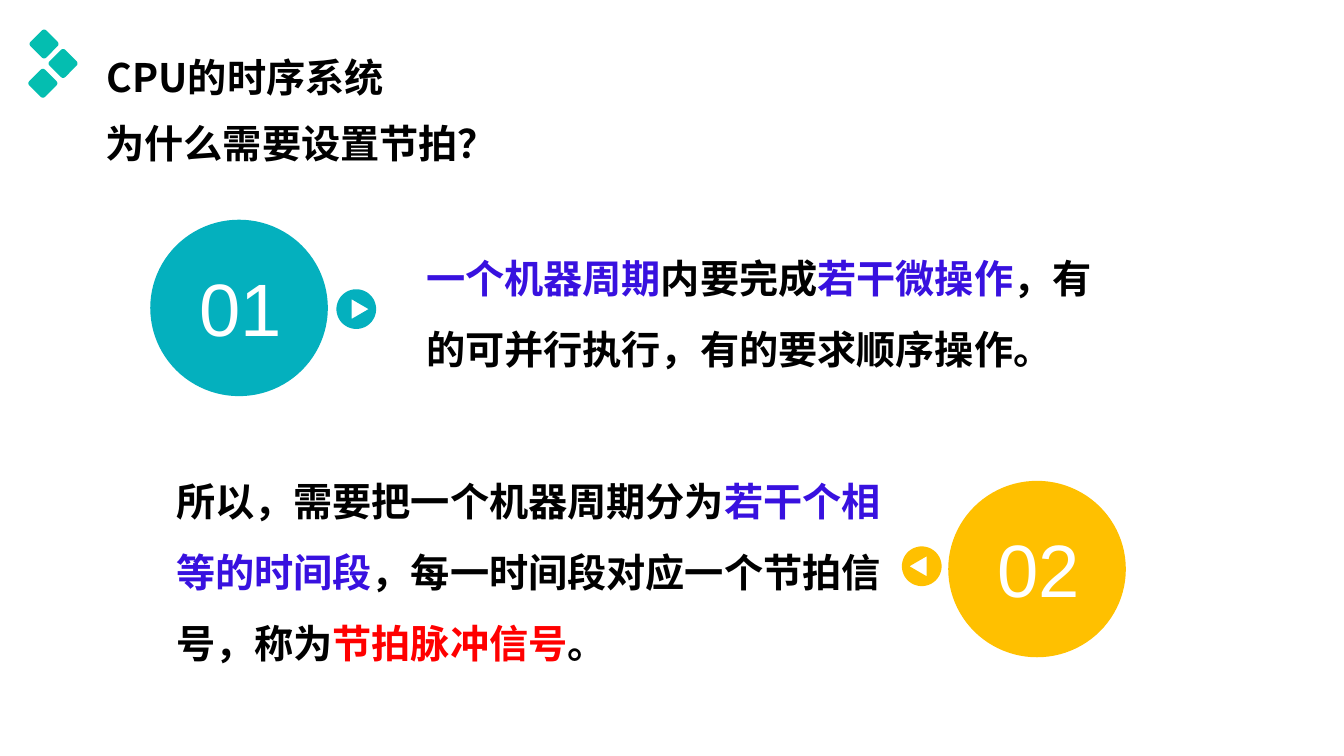
"""Build a slide on why a CPU machine cycle is divided into beats."""
from math import cos, pi, sin

from lxml.etree import SubElement
from pptx import Presentation
from pptx.dml.color import RGBColor
from pptx.enum.shapes import MSO_SHAPE
from pptx.enum.text import MSO_ANCHOR, PP_ALIGN
from pptx.oxml.ns import qn
from pptx.util import Cm, Pt

HAN, LATIN = "Noto Sans CJK SC", "Arial"
BLACK, WHITE, BLUE, RED = "000000", "FFFFFF", "3811DF", "FF0000"
TEAL, GOLD, MINT = "04B0BE", "FFC000", "04BEB0"

TITLE = [("CPU的时序系统", BLACK)]
ASK = [("为什么需要设置节拍？", BLACK)]
WHY = [("一个机器周期", BLUE), ("内要完成", BLACK), ("若干微操作", BLUE),
       ("，有的可并行执行，有的要求顺序操作。", BLACK)]
SO = [("所以，需要把一个机器周期分为", BLACK), ("若干个相等的时间段", BLUE),
      ("，每一时间段对应一个节拍信号，称为", BLACK),
      ("节拍脉冲信号", RED), ("。", BLACK)]

NOTES = [
    (ASK, (2.41, 2.29, 10.49, 2.06), 0, False),
    (WHY, (9.22, 5.69, 19.46, 3.84), 1.27, True),
    (SO, (2.92, 11.3, 20.42, 5.9), 1.27, True),
]
STEPS = [
    ("01", TEAL, (3.84, 5.59), (8.98, 7.79), 1),
    ("02", GOLD, (23.95, 12.17), (23.23, 14.27), -1),
]
GEMS = [(1.11, 1.11), (1.59, 1.6), (1.08, 2.1)]
GEM, DISC, DOT = 0.56, (4.37, 4.34), 0.5


def tint(code):
    return RGBColor.from_string(code)


def paint(shape, code, width=0):
    shape.shadow.inherit = False
    shape.fill.solid()
    shape.fill.fore_color.rgb = tint(code)
    if width:
        shape.line.color.rgb = tint(code)
        shape.line.width = Pt(width)
    else:
        shape.line.fill.background()


def write(para, runs, size, face, bold=False):
    for text, code in runs:
        run = para.add_run()
        run.text = text
        font = run.font
        font.size, font.bold, font.name = Pt(size), bold, face
        font.color.rgb = tint(code)
        SubElement(run._r.get_or_add_rPr(), qn("a:ea"), typeface=face)


def fill_note(frame, runs, indent=0):
    para = frame.paragraphs[0]
    para.alignment = PP_ALIGN.LEFT
    para.line_spacing = Pt(50.7)
    para.space_before = Pt(0)
    if indent:
        props = para._p.get_or_add_pPr()
        props.set("marL", str(Cm(indent)))
        props.set("indent", "0")
    write(para, runs, 28, HAN, True)


def add_disc(shapes, label, code, spot):
    left, top = spot
    disc = shapes.add_shape(MSO_SHAPE.OVAL, Cm(left), Cm(top), *map(Cm, DISC))
    paint(disc, code, 3)
    box = shapes.add_textbox(Cm(left + 0.67), Cm(top + 0.89), Cm(3.1), Cm(2.51))
    box.text_frame.word_wrap = True
    para = box.text_frame.paragraphs[0]
    para.alignment = PP_ALIGN.CENTER
    write(para, [(label, WHITE)], 53, LATIN)


def add_dot(shapes, code, mid, way):
    def place(x, y):
        return Cm(mid[0] + way * x), Cm(mid[1] + y)

    count = 72
    ring = [place(DOT * cos(2 * pi * i / count), DOT * sin(2 * pi * i / count))
            for i in range(count)]
    hole = [place(0.31, 0), place(-0.12, 0.25), place(-0.12, -0.25)]
    pen = shapes.build_freeform(*ring[0])
    pen.add_line_segments(ring[1:], close=True)
    pen.move_to(*hole[0])
    pen.add_line_segments(hole[1:], close=True)
    paint(pen.convert_to_shape(), code)


def main():
    deck = Presentation()
    deck.slide_width, deck.slide_height = Cm(33.87), Cm(19.05)
    slide = deck.slides.add_slide(deck.slide_layouts[5])
    shapes = slide.shapes

    title = shapes.title
    title.left, title.top, title.width, title.height = map(
        Cm, (2.44, 0.58, 15.21, 2.11))
    title.text_frame.vertical_anchor = MSO_ANCHOR.MIDDLE
    fill_note(title.text_frame, TITLE)

    for label, code, spot, mid, way in STEPS:
        add_disc(shapes, label, code, spot)
        add_dot(shapes, code, mid, way)

    group = shapes.add_group_shape()
    for x, y in GEMS:
        gem = group.shapes.add_shape(
            MSO_SHAPE.ROUNDED_RECTANGLE,
            Cm(x - GEM / 2), Cm(y - GEM / 2), Cm(GEM), Cm(GEM))
        gem.adjustments[0] = 0.13
        gem.rotation = 45
        paint(gem, MINT)

    for runs, area, indent, wrap in NOTES:
        box = shapes.add_textbox(*map(Cm, area))
        box.text_frame.word_wrap = wrap
        fill_note(box.text_frame, runs, indent)

    deck.save("out.pptx")


if __name__ == "__main__":
    main()
